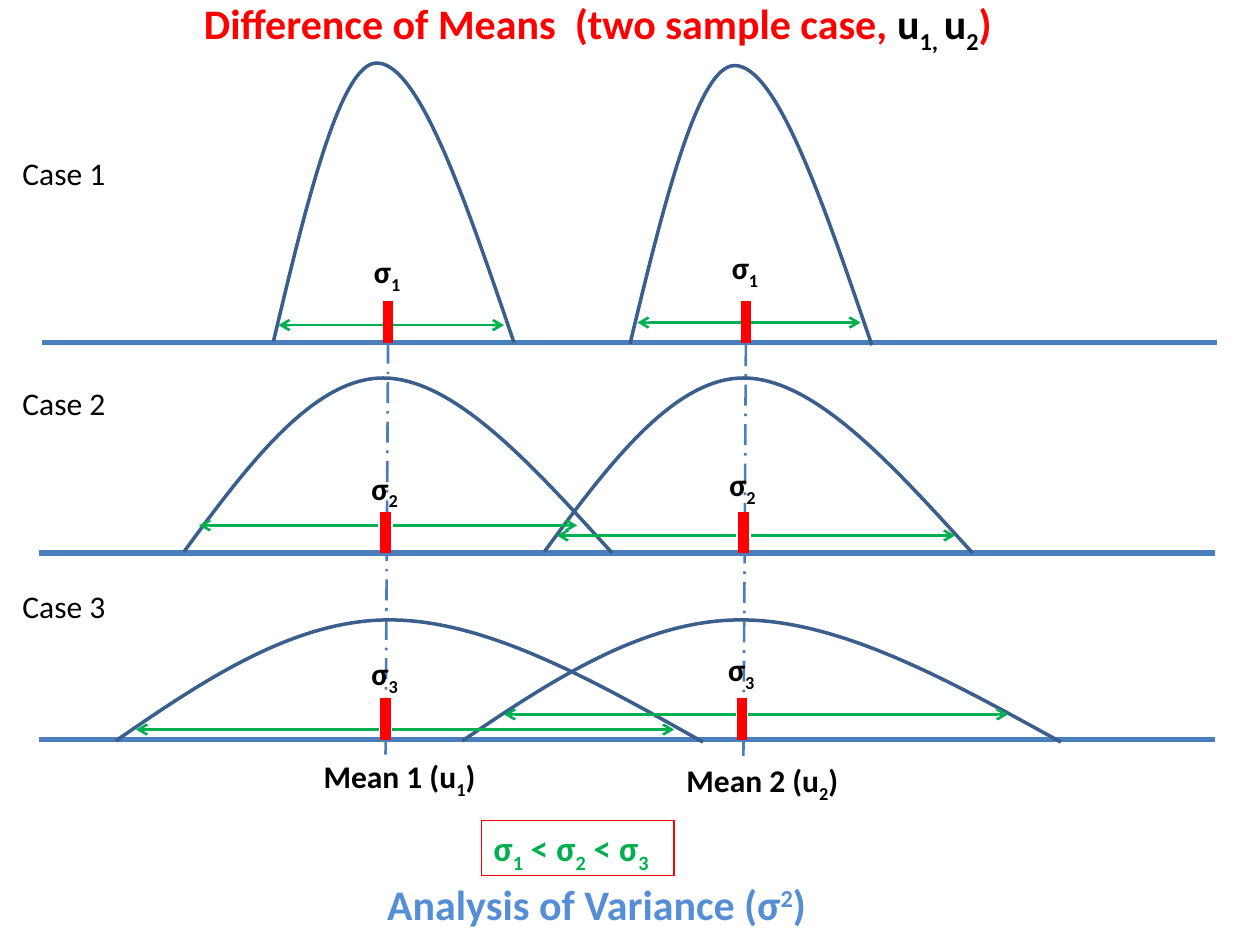
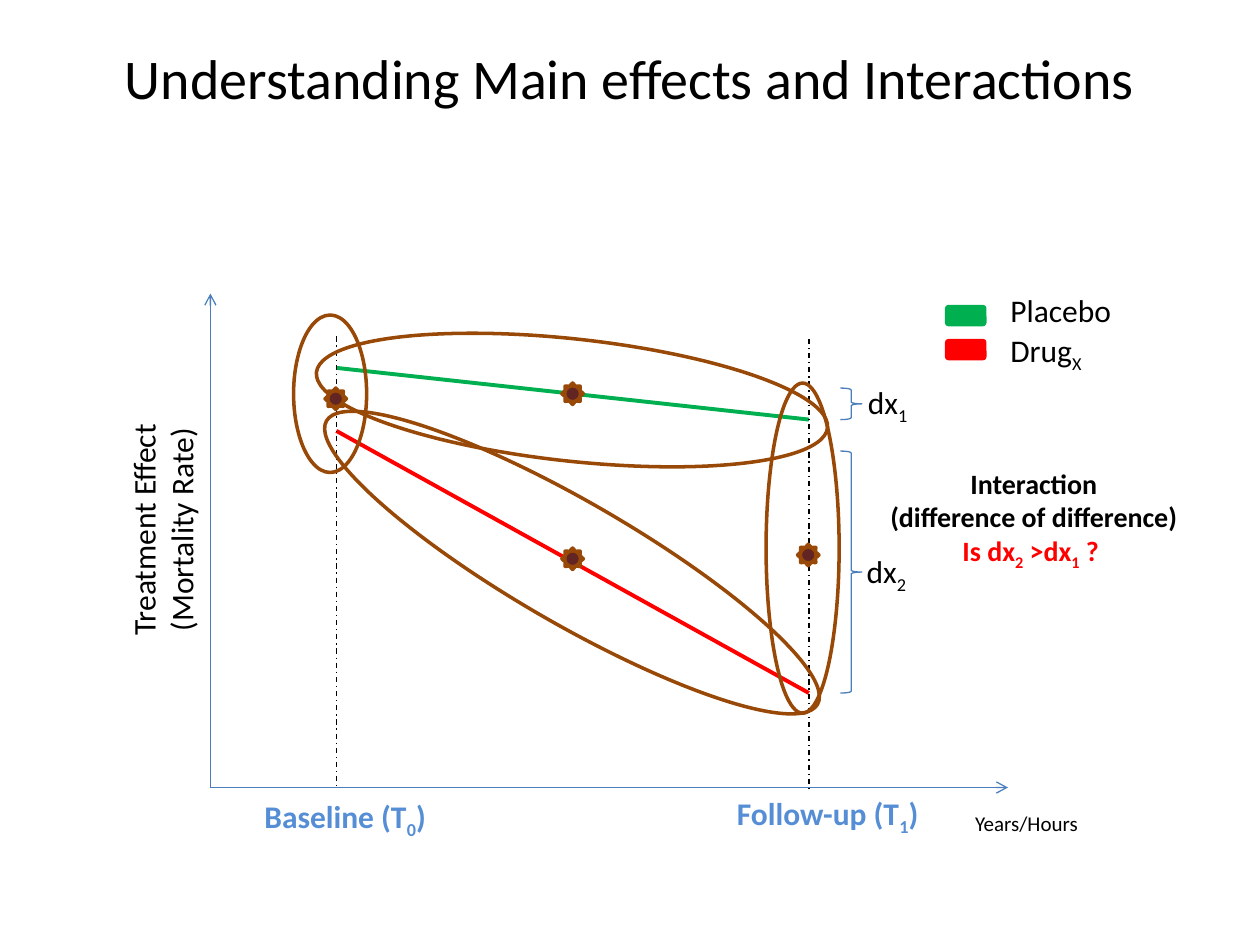
import pptx
import pptx.dml.color
import pptx.enum.dml
import pptx.enum.shapes
import pptx.enum.text
import pptx.oxml.ns
import pptx.util
from lxml import etree

Inches = pptx.util.Inches
RGBColor = pptx.dml.color.RGBColor
ALIGN = pptx.enum.text.PP_ALIGN
ANCHOR = pptx.enum.text.MSO_ANCHOR
AUTO_SIZE = pptx.enum.text.MSO_AUTO_SIZE
DASH = pptx.enum.dml.MSO_LINE_DASH_STYLE
SHAPE = pptx.enum.shapes.MSO_SHAPE
qn = pptx.oxml.ns.qn

BLACK = RGBColor(0x00, 0x00, 0x00)
RED = RGBColor(0xFF, 0x00, 0x00)
GREEN = RGBColor(0x00, 0xB0, 0x50)
BLUE = RGBColor(0x4B, 0x7E, 0xBC)
CURVE_BLUE = RGBColor(0x3A, 0x5F, 0x8C)
LIGHT_BLUE = RGBColor(0x55, 0x8E, 0xD5)
BROWN = RGBColor(0x98, 0x48, 0x07)
DARK_RED = RGBColor(0x63, 0x25, 0x23)

FONT = "Calibri"
SLIDE_SIZE = (10, 7.5)
TITLE_ONLY = 5
LABEL_HEIGHT = 0.4

MEANS_TITLE = [("Difference of Means  (two sample case, ", RED),
               ("u|1, |u|2|", BLACK), (")", RED)]
CASES = [
    {"label": ("Case 1", 1.17), "axis": (0.33, 2.72), "gap": 0.04, "sigma_top": 1.95,
     "samples": [
         {"mean": 3.08, "curve": (2.17, 2.99, 4.08, 0.5, 2.71), "spread": (2.21, 4, 2.58)},
         {"mean": 5.92, "curve": (5, 5.83, 6.92, 0.52, 2.73), "spread": (5.06, 6.83, 2.56)}]},
    {"label": ("Case 2", 3), "axis": (0.31, 4.39), "gap": 0.06, "sigma_top": 3.67,
     "samples": [
         {"mean": 3.06, "curve": (1.46, 3.04, 4.86, 3, 4.38), "spread": (1.58, 4.58, 4.17)},
         {"mean": 5.9, "curve": (4.32, 5.9, 7.72, 3, 4.38), "spread": (4.42, 7.58, 4.25)}]},
    {"label": ("Case 3", 4.61), "axis": (0.31, 5.87), "gap": 0.05, "sigma_top": 5.14,
     "samples": [
         {"mean": 3.06, "curve": (0.92, 3.09, 5.58, 4.92, 5.88), "spread": (1.08, 5.35, 5.79)},
         {"mean": 5.89, "curve": (3.67, 5.88, 8.42, 4.92, 5.88), "spread": (4, 8, 5.67)}]},
]
MEAN_GUIDES = [((5.92, 2.74), (5.9, 6)), ((3.08, 2.72), (3.06, 5.99))]
MEAN_LABELS = [("Mean 1 (u|1|)", (2.47, 5.96, 1.67, LABEL_HEIGHT)),
               ("Mean 2 (u|2|)", (5.35, 5.99, 1.46, LABEL_HEIGHT))]
AXIS_LENGTH = 9.33
TICK_HEIGHT = 0.33

EFFECTS_TITLE = [("Understanding Main effects and Interactions", BLACK)]
BASELINE, FOLLOW_UP = 2.67, 6.42
ORIGIN = (1.67, 6.25)
TREATMENT_LINES = [(RED, 3.42, 5.5), (GREEN, 2.92, 3.33)]
LEGEND = [("Placebo", GREEN, 2.42, 2.26), ("Drug|X|", RED, 2.69, 2.58)]
TIME_GUIDES = [(BASELINE, 2.67), (FOLLOW_UP, 2.69)]
EFFECT_LABELS = [
    ("Baseline (T|0|)", (2, 6.28, 1.58, LABEL_HEIGHT), {"color": LIGHT_BLUE, "bold": True}),
    ("Follow-up (T|1|)", (5.75, 6.25, 1.92, LABEL_HEIGHT), {"color": LIGHT_BLUE, "bold": True}),
    ("Years/Hours", (7.64, 6.38, 1.11, 0.3), {"size": 12}),
]
DIFFERENCES = [("dx|2|", (6.78, 4.33, 0.67, LABEL_HEIGHT)),
               ("dx|1|", (6.79, 2.99, 0.67, LABEL_HEIGHT))]
ELLIPSES = [((2.33, 2.5, 0.58, 1.25), 0), ((6.08, 3.04, 0.58, 2.62), 0),
            ((2.5, 2.69, 4.08, 0.97), 6.2), ((2.29, 3.98, 4.5, 0.97), 30)]
MARKERS = [(2.58, 3.08), (6.33, 4.32), (4.46, 3.04), (4.46, 4.35)]
BRACES = [(3.08, 0.25), (3.58, 1.92)]
INTERACTION = [[("Interaction", BLACK)], [("(difference of difference)", BLACK)],
               [("Is dx|2| >dx|1| ? ", RED)]]
RATE_AXIS = [[("Treatment Effect", BLACK)], [("(Mortality Rate)", BLACK)]]


def write(shape, paragraphs, size=18, bold=False, align=ALIGN.LEFT, anchor=ANCHOR.TOP,
          offset=-25, auto_size=AUTO_SIZE.SHAPE_TO_FIT_TEXT):
    frame = shape.text_frame
    frame_format = {"word_wrap": True, "vertical_anchor": anchor, "auto_size": auto_size}
    for name, value in frame_format.items():
        setattr(frame, name, value)
    for index, pieces in enumerate(paragraphs):
        paragraph = frame.paragraphs[0] if index == 0 else frame.add_paragraph()
        paragraph.alignment = align
        for text, color in pieces:
            for position, part in enumerate(text.split("|")):
                if not part:
                    continue
                run = paragraph.add_run()
                run.text = part
                font_format = {"name": FONT, "size": pptx.util.Pt(size), "bold": bold}
                for name, value in font_format.items():
                    setattr(run.font, name, value)
                run.font.color.rgb = color
                if position % 2:
                    run._r.get_or_add_rPr().set("baseline", str(offset * 1000))


def add_text(slide, paragraphs, box, rotation=0, **text_format):
    shape = slide.shapes.add_textbox(*map(Inches, box))
    shape.rotation = rotation
    write(shape, paragraphs, **text_format)


def add_label(slide, text, box, color=BLACK, **text_format):
    add_text(slide, [[(text, color)]], box, **text_format)


def add_title(slide, pieces, box, size, bold=False):
    title = slide.shapes.title
    for name, value in zip(("left", "top", "width", "height"), box):
        setattr(title, name, Inches(value))
    write(title, [pieces], size=size, bold=bold, align=ALIGN.CENTER, anchor=ANCHOR.MIDDLE,
          auto_size=AUTO_SIZE.NONE)


def set_line(shape, color, width):
    shape.line.color.rgb = color
    shape.line.width = pptx.util.Pt(width)


def add_line(slide, start, end, color, width, dash=None, arrow=False):
    connector = slide.shapes.add_connector(
        pptx.enum.shapes.MSO_CONNECTOR.STRAIGHT, *map(Inches, (*start, *end)))
    set_line(connector, color, width)
    if dash:
        connector.line.dash_style = dash
    properties = connector._element.spPr
    if arrow:
        etree.SubElement(properties.find(qn("a:ln")), qn("a:tailEnd"), type="arrow")
    etree.SubElement(properties, qn("a:effectLst"))


def add_shape(slide, kind, box, fill=None, line=None, width=2, rotation=0):
    shape = slide.shapes.add_shape(kind, *map(Inches, box))
    shape.shadow.inherit = False
    shape.rotation = rotation
    if fill is None:
        shape.fill.background()
    else:
        shape.fill.solid()
        shape.fill.fore_color.rgb = fill
    if line is None:
        shape.line.fill.background()
    else:
        set_line(shape, line, width)
    return shape


def add_bell(slide, left, peak, right, top, bottom):
    middle = (top + bottom) / 2
    rise, fall = peak - left, right - peak
    foot = (right, bottom + 0.01)
    halves = [
        ((left + 0.32 * rise, middle), (left + 0.65 * rise, top), (peak, top)),
        ((peak + 0.31 * fall, top), (peak + 0.65 * fall, middle), foot),
    ]
    builder = slide.shapes.build_freeform(Inches(left), Inches(bottom))
    builder.add_line_segments([tuple(map(Inches, half[-1])) for half in halves], close=False)
    bell = builder.convert_to_shape()
    for segment, half in zip(list(bell._element.iter(qn("a:lnTo"))), halves):
        curve = etree.Element(qn("a:cubicBezTo"))
        for x, y in half:
            etree.SubElement(curve, qn("a:pt"), x=str(Inches(x) - bell.left),
                             y=str(Inches(y) - bell.top))
        segment.getparent().replace(segment, curve)
    bell.shadow.inherit = False
    bell.fill.background()
    set_line(bell, CURVE_BLUE, 2)


def add_axis(slide, case):
    left, axis = case["axis"]
    add_line(slide, (left, axis), (left + AXIS_LENGTH, axis), BLUE, 3)
    for sample in case["samples"]:
        mean = sample["mean"]
        add_line(slide, (mean, axis - TICK_HEIGHT), (mean, axis), RED, 6)


def add_samples(slide, number, case):
    for sample in case["samples"]:
        add_bell(slide, *sample["curve"])
    for order, sample in enumerate(case["samples"]):
        mean = sample["mean"]
        low, high, level = sample["spread"]
        for inner, tip in ((mean + case["gap"], high), (mean - case["gap"], low)):
            add_line(slide, (inner, level), (tip, level), GREEN, 1.5, arrow=True)
        sigma_box = (mean - 0.21, case["sigma_top"] - 0.03 * order, 0.46, LABEL_HEIGHT)
        add_label(slide, f"σ|{number}|", sigma_box, bold=True)


def build_means(slide):
    add_title(slide, MEANS_TITLE, (1.08, 0, 7.33, 0.42), 24, bold=True)
    add_label(slide, "Analysis of Variance (σ|2|)", (1.61, 6.92, 6.25, 0.5), LIGHT_BLUE,
              size=24, bold=True, align=ALIGN.CENTER, offset=30)
    for start, end in MEAN_GUIDES:
        add_line(slide, start, end, BLUE, 1.5, dash=DASH.LONG_DASH_DOT)
    for case in CASES:
        add_axis(slide, case)
    for text, box in MEAN_LABELS:
        add_label(slide, text, box, bold=True)
    for number, case in enumerate(CASES, 1):
        add_samples(slide, number, case)
    ranking = add_shape(slide, SHAPE.RECTANGLE, (3.82, 6.51, 1.53, 0.44), line=RED, width=0.75)
    write(ranking, [[("σ|1| < σ|2| < σ|3|", GREEN)]], size=20, bold=True)
    for case in CASES:
        text, top = case["label"]
        add_label(slide, text, (0.08, top, 1.25, LABEL_HEIGHT))


def build_effects(slide):
    add_title(slide, EFFECTS_TITLE, (0.5, 0.3, 9, 0.62), 32)
    for color, start, end in TREATMENT_LINES:
        add_line(slide, (BASELINE, start), (FOLLOW_UP, end), color, 2.25)
    for end in ((ORIGIN[0], 2.33), (8, ORIGIN[1])):
        add_line(slide, ORIGIN, end, BLUE, 0.75, arrow=True)
    for time, top in TIME_GUIDES:
        add_line(slide, (time, top), (time, top + 3.59), BLACK, 0.75, dash=DASH.DASH_DOT)
    for text, box, text_format in EFFECT_LABELS:
        add_label(slide, text, box, **text_format)
    for name, color, key_top, text_top in LEGEND:
        add_shape(slide, SHAPE.ROUNDED_RECTANGLE, (7.5, key_top, 0.33, 0.17), fill=color)
        add_label(slide, name, (7.92, text_top, 1.25, LABEL_HEIGHT))
    add_text(slide, RATE_AXIS, (0.29, 3.85, 2, 0.71), rotation=270, align=ALIGN.CENTER)
    for box, rotation in ELLIPSES:
        add_shape(slide, SHAPE.OVAL, box, line=BROWN, rotation=rotation)
    for left, top in MARKERS:
        marker = add_shape(slide, SHAPE.SUN, (left, top, 0.17, 0.17), fill=DARK_RED, line=BROWN)
        marker.adjustments[0] = 0.125
    for text, box in DIFFERENCES:
        add_label(slide, text, box)
    for top, height in BRACES:
        add_shape(slide, SHAPE.LEFT_BRACE, (6.67, top, 0.17, height),
                  line=BLUE, width=0.75, rotation=180)
    add_text(slide, INTERACTION, (6.87, 3.65, 2.67, 0.91), size=16, bold=True, align=ALIGN.CENTER)


def main():
    presentation = pptx.Presentation()
    presentation.slide_width, presentation.slide_height = map(Inches, SLIDE_SIZE)
    for build in (build_means, build_effects):
        build(presentation.slides.add_slide(presentation.slide_layouts[TITLE_ONLY]))
    presentation.save("out.pptx")


if __name__ == "__main__":
    main()
